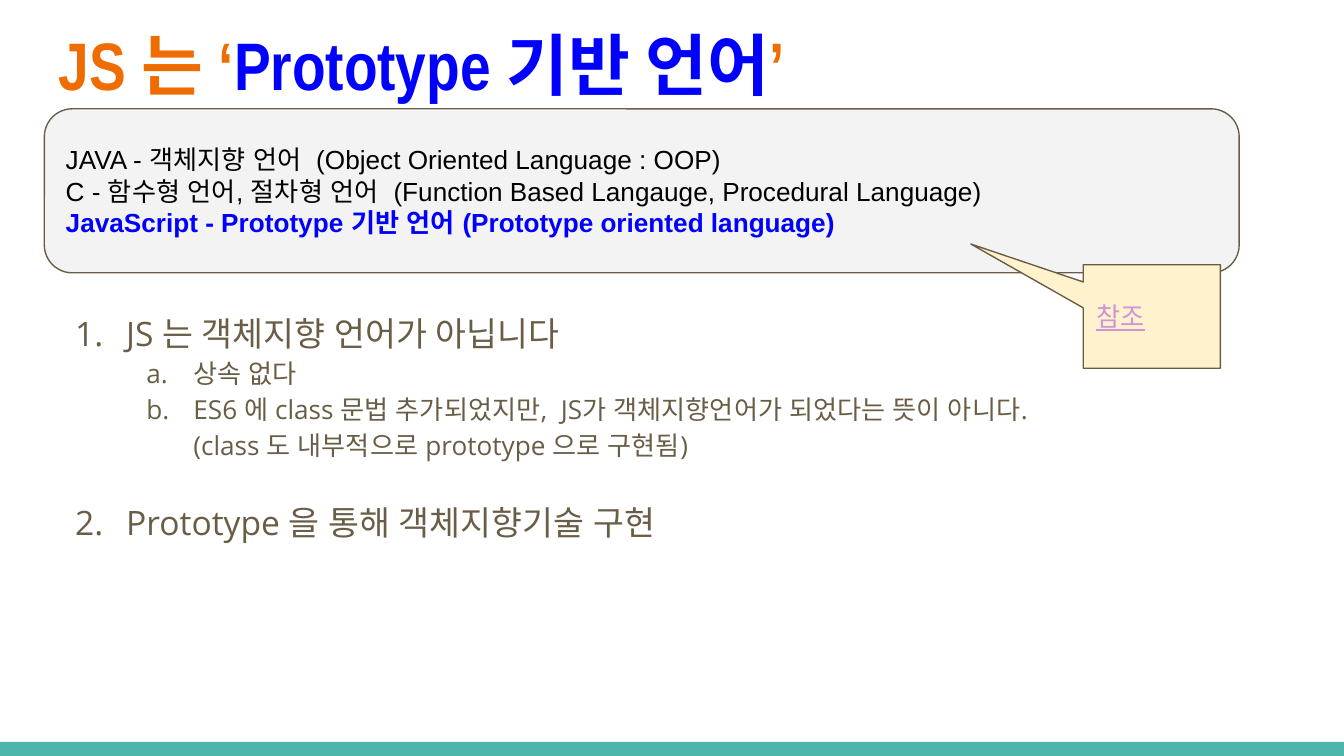
from lxml import etree
from pptx import Presentation
from pptx.dml.color import RGBColor
from pptx.enum.shapes import MSO_SHAPE
from pptx.enum.text import MSO_ANCHOR, PP_ALIGN
from pptx.oxml.ns import qn
from pptx.util import Inches, Pt

RECTANGLE = MSO_SHAPE.RECTANGLE
ROUNDED = MSO_SHAPE.ROUNDED_RECTANGLE
CALLOUT = MSO_SHAPE.ROUNDED_RECTANGULAR_CALLOUT
TOP, MIDDLE = MSO_ANCHOR.TOP, MSO_ANCHOR.MIDDLE
LEFT = PP_ALIGN.LEFT

WIDTH = 10
HEIGHT = WIDTH * 9 / 16
MARGIN = 0.34
COLORS = {
    "teal": "4DB6AC", "orange": "EF6C00", "blue": "0000FF", "brown": "695D46",
    "gray": "F3F3F3", "cream": "FFF2CC", "black": "000000", "violet": "CE93D8",
}
# Each level: numbering scheme, left indent, hanging indent, text size
LEVELS = [("arabicPeriod", 0.5, -0.38, 18), ("alphaLcPeriod", 1, -0.35, 14)]

TITLE = [("JS 는 ‘", "orange"), ("Prototype 기반 언어", "blue"), ("’", "orange")]
LANGUAGES = [
    ("JAVA - 객체지향 언어  (Object Oriented Language : OOP)", "black", False),
    ("C - 함수형 언어, 절차형 언어  (Function Based Langauge, Procedural Language)", "black", False),
    ("JavaScript - Prototype 기반 언어 (Prototype oriented language)", "blue", True),
]
# Each point: level, space before, text
POINTS = [
    (0, 0, "JS 는 객체지향 언어가 아닙니다"),
    (1, 0, "상속 없다"),
    (1, 0, "ES6 에 class 문법 추가되었지만,  JS가 객체지향언어가 되었다는 뜻이 아니다.\v"
           "(class 도 내부적으로 prototype 으로 구현됨)"),
    (0, 19, "Prototype 을 통해 객체지향기술 구현"),
]


def color(name):
    """Return the named palette colour."""
    return RGBColor.from_string(COLORS[name])


def set_font(font, name, size, color_name, bold=False):
    """Set the Latin and East Asian face, size, colour and weight of a font."""
    font.name, font.size, font.bold = name, Pt(size), bold
    font.color.rgb = color(color_name)
    etree.SubElement(font._rPr, qn("a:ea"), typeface=name)
    etree.SubElement(font._rPr, qn("a:cs"), typeface=name)


def prepare_frame(frame, anchor):
    """Give a text frame wrapping, even insets and an anchor."""
    frame.word_wrap = True
    frame.vertical_anchor = anchor
    frame.margin_left = frame.margin_right = Inches(0.1)
    frame.margin_top = frame.margin_bottom = Inches(0.1)
    return frame


def add_text_box(slide, *box):
    """Add a top-anchored text box and return its frame."""
    shape = slide.shapes.add_textbox(*map(Inches, box))
    return prepare_frame(shape.text_frame, TOP)


def add_panel(slide, kind, box, fill, line=None, adjustments=()):
    """Add a filled preset shape and return its text frame."""
    shape = slide.shapes.add_shape(kind, *map(Inches, box))
    shape.shadow.inherit = False
    shape.fill.solid()
    shape.fill.fore_color.rgb = color(fill)
    if line:
        shape.line.color.rgb = color(line)
        shape.line.width = Pt(0.75)
    else:
        shape.line.fill.background()
    for index, value in enumerate(adjustments):
        shape.adjustments[index] = value
    return prepare_frame(shape.text_frame, MIDDLE)


def add_paragraph(frame, text):
    """Fill the empty first paragraph or append a new one."""
    first = frame.paragraphs[0]
    paragraph = frame.add_paragraph() if first.runs else first
    paragraph.text = text
    paragraph.alignment = LEFT
    return paragraph


def number_paragraph(paragraph, level):
    """Apply the numbering and hanging indent of a level."""
    scheme, left, hanging, _ = LEVELS[level]
    paragraph.level = level
    properties = paragraph._p.get_or_add_pPr()
    properties.set("marL", str(Inches(left)))
    properties.set("indent", str(Inches(hanging)))
    bullet_color = etree.SubElement(properties, qn("a:buClr"))
    etree.SubElement(bullet_color, qn("a:srgbClr"), val=COLORS["brown"])
    etree.SubElement(properties, qn("a:buFont"), typeface="Open Sans")
    etree.SubElement(properties, qn("a:buAutoNum"), type=scheme)


def add_title(slide):
    """Add the two-coloured title."""
    frame = add_text_box(slide, MARGIN, 0.07, WIDTH - 2 * MARGIN, 0.77)
    paragraph = frame.paragraphs[0]
    for text, color_name in TITLE:
        run = paragraph.add_run()
        run.text = text
        set_font(run.font, "Arial Narrow", 36, color_name, True)


def add_points(slide):
    """Add the numbered outline."""
    frame = add_text_box(slide, MARGIN, 2.18, WIDTH - 2 * MARGIN, 2.82)
    for level, space_before, text in POINTS:
        paragraph = add_paragraph(frame, text)
        number_paragraph(paragraph, level)
        paragraph.line_spacing = 1.15
        paragraph.space_before = Pt(space_before)
        set_font(paragraph.font, "Open Sans", LEVELS[level][3], "brown")


def add_languages(slide):
    """Add the rounded panel that compares languages."""
    frame = add_panel(slide, ROUNDED, (0.33, 0.81, 8.89, 1.22), "gray", "brown", [0.17])
    for text, color_name, bold in LANGUAGES:
        paragraph = add_paragraph(frame, text)
        set_font(paragraph.font, "Arial", 14, color_name, bold)


def add_reference(slide):
    """Add the callout that points at the language panel."""
    frame = add_panel(slide, CALLOUT, (8.06, 1.97, 1.02, 0.77), "cream", "brown",
                      [-1.32, -0.7, 0])
    paragraph = add_paragraph(frame, "참조")
    set_font(paragraph.font, "Arial", 14, "violet")
    paragraph.font.underline = True


def main():
    """Build and save the slide."""
    presentation = Presentation()
    presentation.slide_width, presentation.slide_height = Inches(WIDTH), Inches(HEIGHT)
    slide = presentation.slides.add_slide(presentation.slide_layouts[6])
    add_panel(slide, RECTANGLE, (0, 5.52, WIDTH, 0.11), "teal")
    add_title(slide)
    add_points(slide)
    add_languages(slide)
    add_reference(slide)
    presentation.save("out.pptx")


if __name__ == "__main__":
    main()
